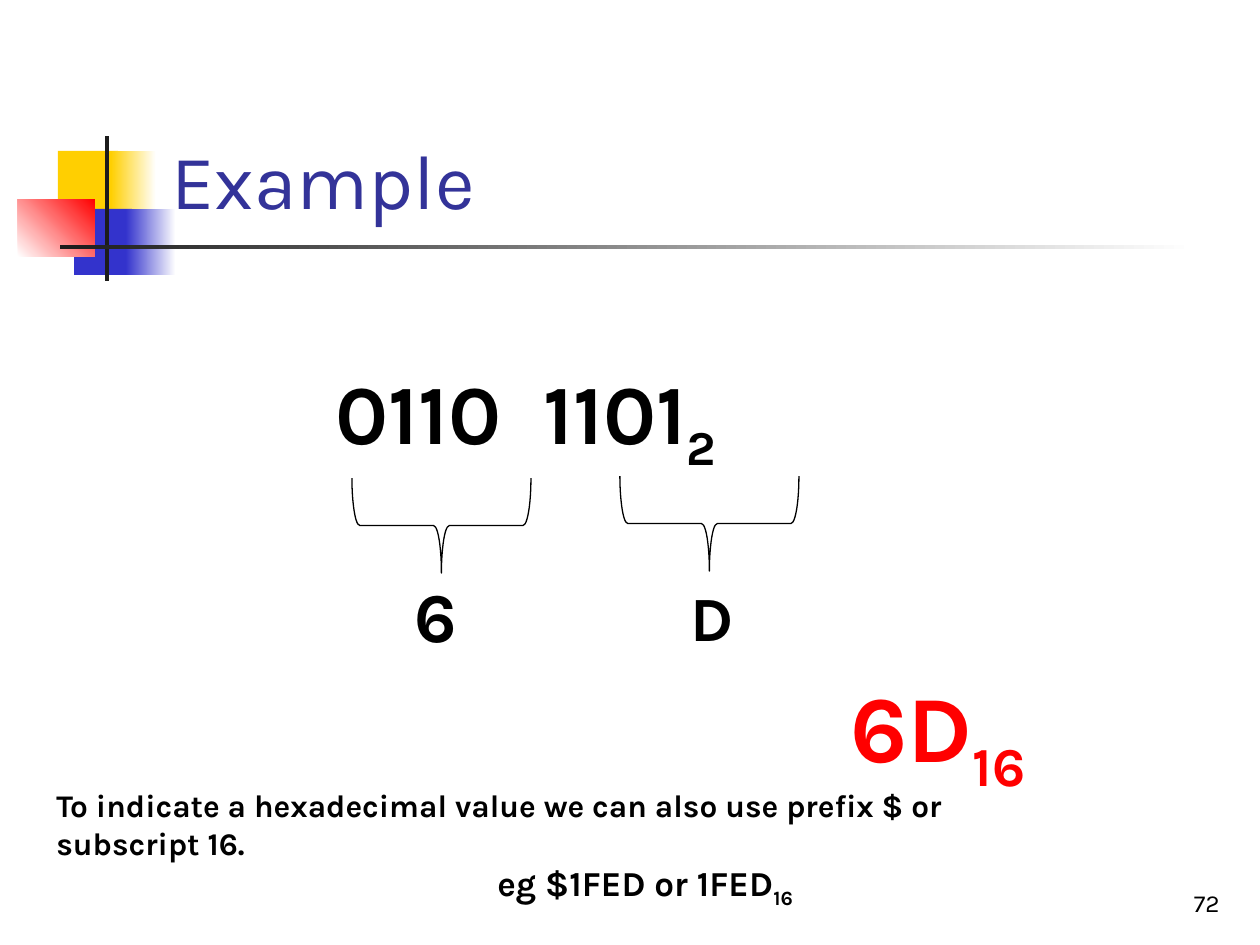
"""Build the slide that converts a binary number to hexadecimal."""
import lxml.etree
import pptx
import pptx.dml.color
import pptx.enum.shapes
import pptx.enum.text
import pptx.oxml.ns
import pptx.util

RGBColor = pptx.dml.color.RGBColor
MSO_SHAPE = pptx.enum.shapes.MSO_SHAPE
PP_ALIGN = pptx.enum.text.PP_ALIGN
MSO_ANCHOR = pptx.enum.text.MSO_ANCHOR

BLACK = RGBColor(0x00, 0x00, 0x00)
WHITE = RGBColor(0xFF, 0xFF, 0xFF)
RED = RGBColor(0xFF, 0x00, 0x00)
YELLOW = RGBColor(0xFF, 0xCF, 0x01)
BLUE = RGBColor(0x33, 0x33, 0xCC)
CHARCOAL = RGBColor(0x1C, 0x1C, 0x1C)
TITLE_BLUE = RGBColor(0x33, 0x33, 0x99)

FONT = "Karla"
PX = 914400 / 126
SLIDE_SIZE = (1260, 945)

TITLE = ("Example", (159, 29, 1073, 202))

DECORATIONS = [
    ((58, 151, 60, 66), (YELLOW,), 0),
    ((111, 151, 45, 66), (YELLOW, WHITE), 0),
    ((74, 209, 58, 66), (BLUE,), 0),
    ((126, 209, 50, 66), (BLUE, WHITE), 0),
    ((18, 199, 77, 58), (WHITE, RED), 45),
    ((105, 136, 4, 145), (CHARCOAL,), 0),
    ((60, 245, 1134, 4), (CHARCOAL, WHITE), 0),
]

BRACES = [(394, 436, 95, 179), (662, 434, 95, 179)]

TEXTS = [
    ((323, 354, 546, 127), [("0110\t1101", "2", dict(size=48, tab=208))], {}),
    ((402, 566, 110, 97), [("6", "", dict(size=40))], {}),
    ((678, 572, 129, 88), [("D", "", dict(size=36))], {}),
    ((838, 662, 248, 142), [("6D", "16", dict(size=54, color=RED))], {}),
    ((44, 780, 1002, 136), [
        ("To indicate a hexadecimal value we can also use prefix $ or subscript 16.",
         "", dict(size=18)),
        ("eg $1FED or 1FED", "16", dict(size=20, indent=441)),
    ], {}),
    ((970, 861, 262, 63), [("72", "", dict(size=14, bold=False, align=PP_ALIGN.RIGHT))],
     dict(anchor=MSO_ANCHOR.BOTTOM)),
]


def emu(pixels):
    """Turn pixels into EMU."""
    return pptx.util.Emu(round(pixels * PX))


def place(box):
    """Turn a pixel box into EMU lengths."""
    return [emu(value) for value in box]


def write(paragraph, text, subscript="", size=18, color=BLACK, bold=True,
          align=PP_ALIGN.LEFT, indent=0, tab=0):
    """Fill a paragraph with text and an optional subscript."""
    paragraph.alignment = align
    properties = paragraph._p.get_or_add_pPr()
    if indent:
        properties.set("marL", str(emu(indent)))
    if tab:
        tabs = lxml.etree.SubElement(properties, pptx.oxml.ns.qn("a:tabLst"))
        lxml.etree.SubElement(tabs, pptx.oxml.ns.qn("a:tab"), pos=str(emu(tab)), algn="l")
    for part, baseline in ((text, 0), (subscript, -25000)):
        if not part:
            continue
        run = paragraph.add_run()
        run.text = part
        run.font.name = FONT
        run.font.size = pptx.util.Pt(size)
        run.font.bold = bold
        run.font.color.rgb = color
        if baseline:
            run.font._element.set("baseline", str(baseline))


def add_text(slide, box, paragraphs, anchor=MSO_ANCHOR.TOP):
    """Add a wrapping text box."""
    frame = slide.shapes.add_textbox(*place(box)).text_frame
    frame.word_wrap = True
    frame.vertical_anchor = anchor
    for index, (text, subscript, style) in enumerate(paragraphs):
        paragraph = frame.add_paragraph() if index else frame.paragraphs[0]
        write(paragraph, text, subscript, **style)


def add_decoration(slide, box, colors, angle):
    """Add a borderless rectangle with a solid or gradient fill."""
    shape = slide.shapes.add_shape(MSO_SHAPE.RECTANGLE, *place(box))
    shape.shadow.inherit = False
    shape.line.fill.background()
    if len(colors) == 1:
        shape.fill.solid()
        shape.fill.fore_color.rgb = colors[0]
        return
    shape.fill.gradient()
    shape.fill.gradient_angle = angle
    for position, (stop, color) in enumerate(zip(shape.fill.gradient_stops, colors)):
        stop.position = position
        stop.color.rgb = color


def add_brace(slide, box):
    """Add a brace that points down."""
    brace = slide.shapes.add_shape(MSO_SHAPE.LEFT_BRACE, *place(box))
    brace.rotation = 270
    brace.shadow.inherit = False
    brace.fill.background()
    brace.line.color.rgb = BLACK
    brace.line.width = pptx.util.Pt(0.75)


def main():
    """Build and save the slide."""
    presentation = pptx.Presentation()
    presentation.slide_width, presentation.slide_height = place(SLIDE_SIZE)
    slide = presentation.slides.add_slide(presentation.slide_layouts[5])

    for box, colors, angle in DECORATIONS:
        add_decoration(slide, box, colors, angle)

    text, box = TITLE
    title = slide.shapes.title
    title.left, title.top, title.width, title.height = place(box)
    title.text_frame.vertical_anchor = MSO_ANCHOR.BOTTOM
    write(title.text_frame.paragraphs[0], text, size=44, color=TITLE_BLUE, bold=False)

    for box in BRACES:
        add_brace(slide, box)
    for box, paragraphs, options in TEXTS:
        add_text(slide, box, paragraphs, **options)

    presentation.save("out.pptx")


if __name__ == "__main__":
    main()
